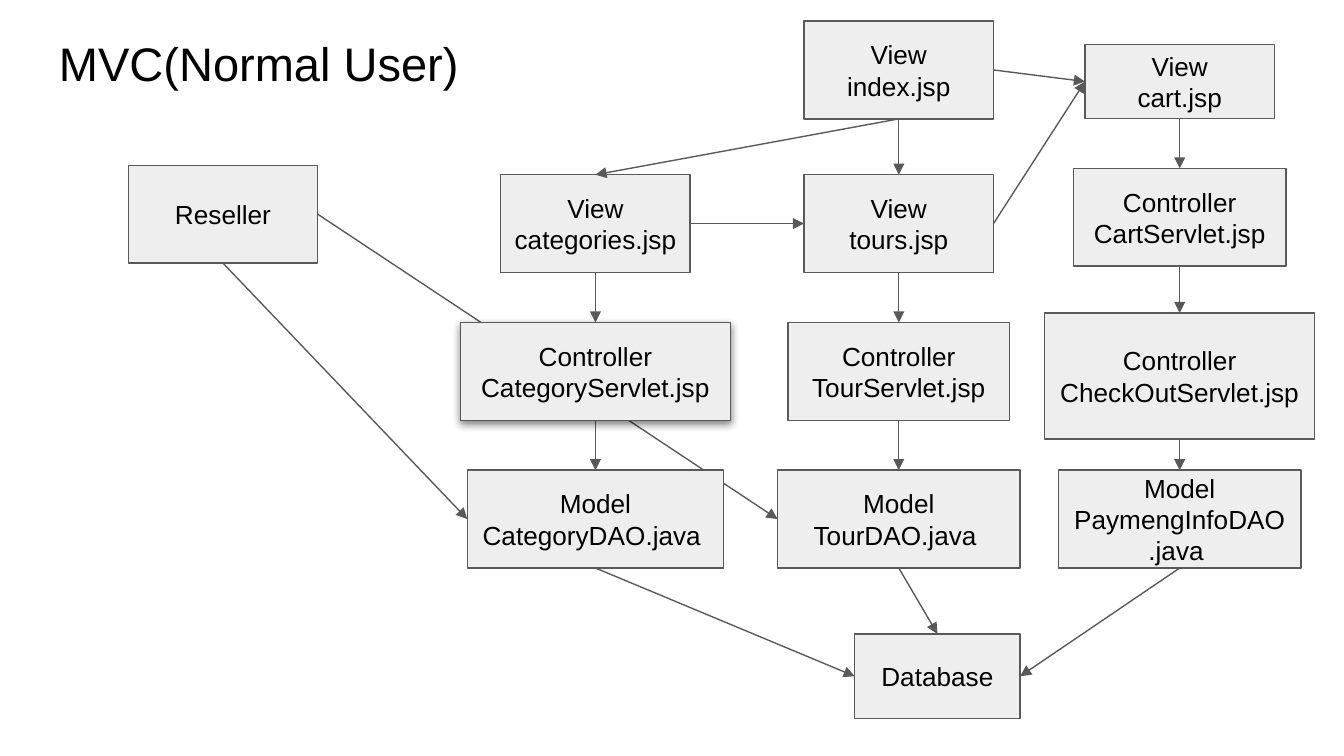
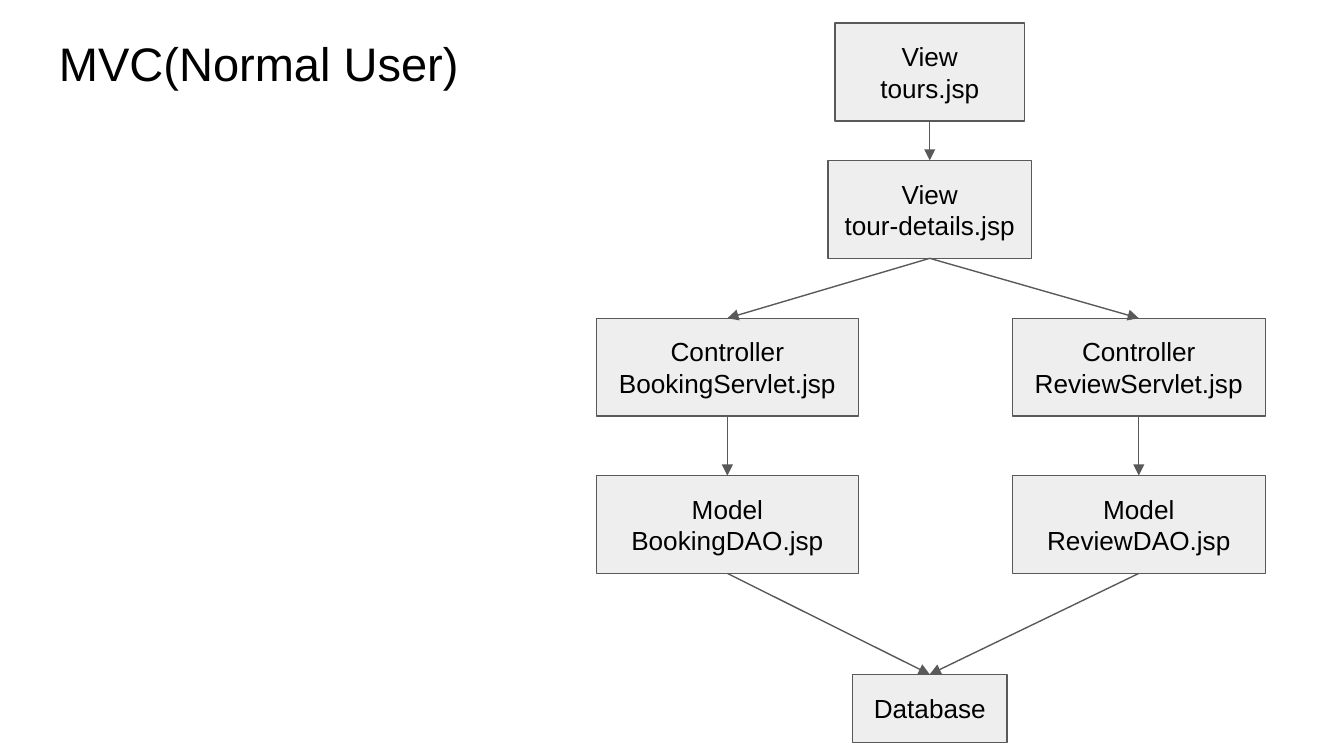
"""Build two slides that chart the MVC flow of a normal user."""
import pptx
import pptx.util
import pptx.dml.color
import pptx.enum.shapes
import pptx.enum.text
import pptx.oxml
import pptx.oxml.ns

Pt = pptx.util.Pt
HUES = {"ink": "000000", "fill": "EEEEEE", "line": "595959"}
FONT = "Arial"
TITLE = "MVC(Normal User)"
WIDE, TALL = 101.5, 52.4
TOP, LEFT, BOTTOM, RIGHT = range(4)
ROWS = [93.6 + 79.15 * i for i in range(3)]
CAT, TOUR, CART = 319, 481.5, 632
MID, BOOK, REVIEW = 498.1, 389.7, 610.1

SLIDES = [
    {
        "boxes": {
            "index": ("View\nindex.jsp", TOUR, 11.3, WIDE, TALL),
            "resell": ("Reseller", 119.5, 88.6, WIDE, TALL),
            "tours": ("View\ntours.jsp", TOUR, ROWS[0], WIDE, TALL),
            "data": ("Database", 502.2, 339.6, 88.6, 45.4),
            "cats": ("View\ncategories.jsp", CAT, ROWS[0], WIDE, TALL),
            "tour ctl": ("Controller\nTourServlet.jsp", TOUR, ROWS[1], 118.8, TALL),
            "tour dao": ("Model\nTourDAO.java ", TOUR, ROWS[2], 129.8, TALL),
            "cart": ("View\ncart.jsp", CART, 23.9, WIDE, 39.6),
            "cart ctl": ("Controller\nCartServlet.jsp", CART, 90.2, 113.8, TALL),
            "check": ("Controller\nCheckOutServlet.jsp", CART, 167.75, 144.8, 67.5),
            "pay": ("Model\nPaymengInfoDAO.java ", CART, ROWS[2], 129.8, TALL),
            "cat ctl": ("Controller\nCategoryServlet.jsp", CAT, ROWS[1], 144.8, TALL),
            "cat dao": ("Model\nCategoryDAO.java ", CAT, ROWS[2], 137.3, TALL),
        },
        "chains": [
            ("index", "tours", "tour ctl", "tour dao", "data"),
            ("index", "cats", "cat ctl", "cat dao"),
            ("cart", "cart ctl", "check", "pay"),
        ],
        "links": [
            ("cats", RIGHT, "tours", LEFT),
            ("cat dao", BOTTOM, "data", LEFT),
            ("pay", BOTTOM, "data", RIGHT),
            ("index", RIGHT, "cart", LEFT),
            ("tours", RIGHT, "cart", LEFT),
            ("resell", BOTTOM, "cat dao", LEFT),
            ("resell", RIGHT, "tour dao", LEFT),
        ],
        "front": ("cat ctl", "cat dao"),
        "shade": ("cat ctl",),
    },
    {
        "boxes": {
            "tours": ("View\ntours.jsp", MID, 12.4, WIDE, TALL),
            "detail": ("View\ntour-details.jsp", MID, 86, 108.9, TALL),
            "book ctl": ("Controller\nBookingServlet.jsp", BOOK, 170.5, 140.2, TALL),
            "rev ctl": ("Controller\nReviewServlet.jsp", REVIEW, 170.5, 135.5, TALL),
            "data": ("Database", MID, 361.3, 82.9, 36.4),
            "book dao": ("Model\nBookingDAO.jsp", BOOK, 254.8, 140.2, TALL),
            "rev dao": ("Model\nReviewDAO.jsp", REVIEW, 254.8, 135.5, TALL),
        },
        "chains": [
            ("tours", "detail", "book ctl", "book dao", "data"),
            ("detail", "rev ctl", "rev dao", "data"),
        ],
        "links": [],
        "front": (),
        "shade": (),
    },
]


def hue(name):
    return pptx.dml.color.RGBColor.from_string(HUES[name])


def node(xml):
    tag, rest = xml.split(" ", 1)
    return pptx.oxml.parse_xml(f"{tag} {pptx.oxml.ns.nsdecls('a')} {rest}")


def write(shape, text, size=14, align="CENTER", anchor="MIDDLE"):
    frame = shape.text_frame
    frame.word_wrap = True
    frame.vertical_anchor = pptx.enum.text.MSO_ANCHOR[anchor]
    frame.margin_left = frame.margin_right = Pt(7.2)
    frame.margin_top = frame.margin_bottom = Pt(7.2)
    frame.text = text
    for para in frame.paragraphs:
        para.alignment = pptx.enum.text.PP_ALIGN[align]
        for run in para.runs:
            run.font.name, run.font.size = FONT, Pt(size)
            run.font.color.rgb = hue("ink")


def stroke(line):
    line.color.rgb = hue("line")
    line.width = Pt(0.75)


def draw_box(slide, text, mid, top, wide, tall):
    box = slide.shapes.add_shape(
        pptx.enum.shapes.MSO_SHAPE.RECTANGLE,
        Pt(mid - wide / 2), Pt(top), Pt(wide), Pt(tall))
    box.shadow.inherit = False
    box.fill.solid()
    box.fill.fore_color.rgb = hue("fill")
    stroke(box.line)
    write(box, text)
    return box


def draw_link(slide, start, side, end, goal):
    link = slide.shapes.add_connector(
        pptx.enum.shapes.MSO_CONNECTOR.STRAIGHT, 0, 0, 0, 0)
    link.begin_connect(start, side)
    link.end_connect(end, goal)
    stroke(link.line)
    link.line._get_or_add_ln().append(
        node('<a:tailEnd type="triangle" w="med" len="med"/>'))
    link._element.spPr.append(node("<a:effectLst />"))


def add_shade(box):
    effect = box._element.spPr.find(pptx.oxml.ns.qn("a:effectLst"))
    effect.append(node(
        f'<a:outerShdw blurRad="{Pt(4.5)}" dist="{Pt(1.5)}" dir="5400000" '
        'algn="t" rotWithShape="0"><a:srgbClr val="000000">'
        '<a:alpha val="50000"/></a:srgbClr></a:outerShdw>'))


def draw_slide(deck, plan):
    slide = deck.slides.add_slide(deck.slide_layouts[6])
    title = slide.shapes.add_textbox(Pt(24.5), Pt(11.5), Pt(234), Pt(45.4))
    write(title, TITLE, size=25.2, align="LEFT", anchor="TOP")
    boxes = {key: draw_box(slide, *spec) for key, spec in plan["boxes"].items()}
    steps = [(start, BOTTOM, end, TOP) for chain in plan["chains"]
             for start, end in zip(chain, chain[1:])]
    for start, side, end, goal in steps + plan["links"]:
        draw_link(slide, boxes[start], side, boxes[end], goal)
    for key in plan["front"]:
        item = boxes[key]._element
        item.getparent().append(item)
    for key in plan["shade"]:
        add_shade(boxes[key])


def main():
    deck = pptx.Presentation()
    deck.slide_width, deck.slide_height = Pt(720), Pt(405)
    for plan in SLIDES:
        draw_slide(deck, plan)
    deck.save("out.pptx")


if __name__ == "__main__":
    main()
